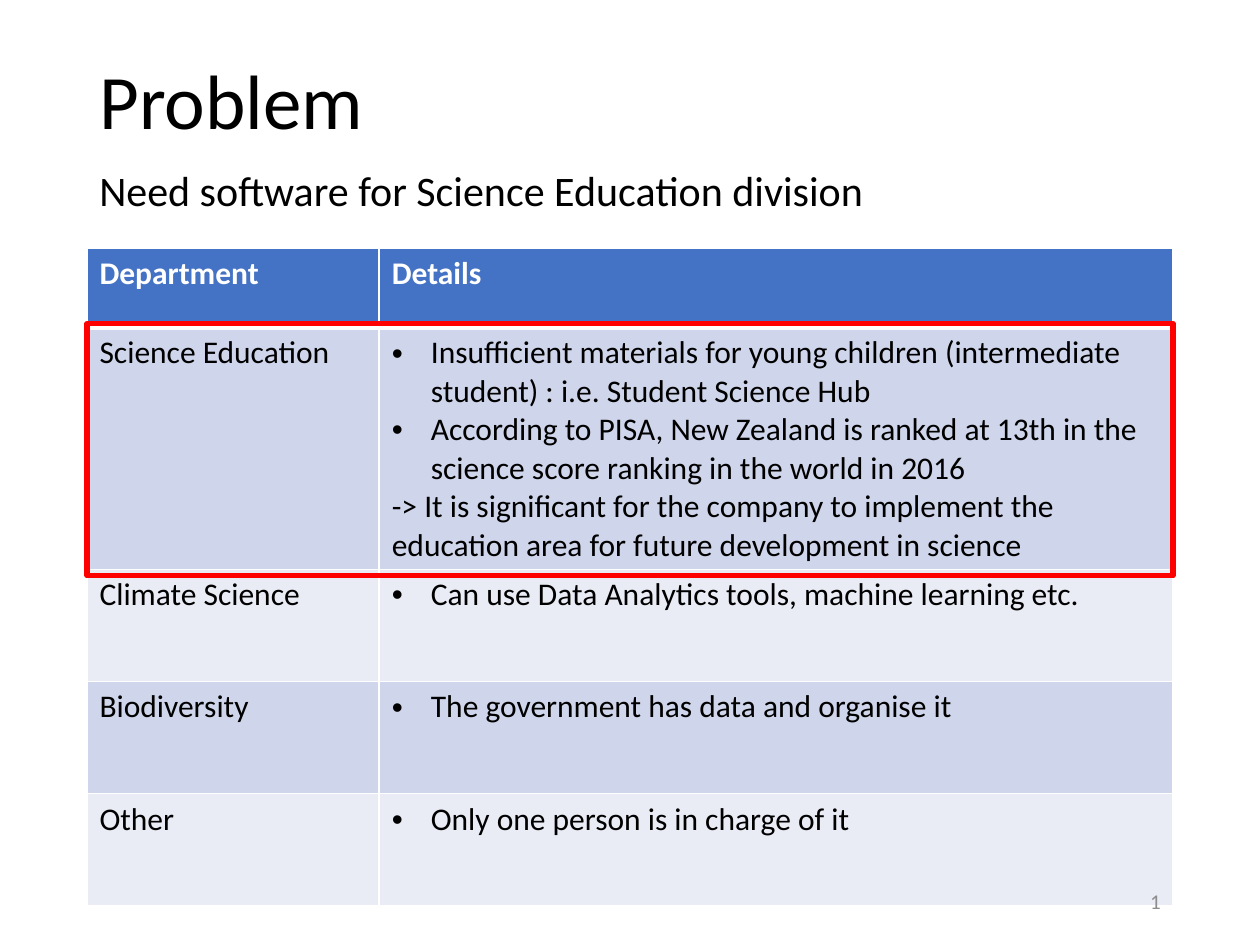
from lxml import etree
from pptx import Presentation
from pptx.dml.color import RGBColor
from pptx.enum.shapes import MSO_SHAPE as SHAPE
from pptx.enum.text import MSO_ANCHOR as ANCHOR, PP_ALIGN as ALIGN
from pptx.oxml.ns import qn
from pptx.util import Inches, Pt

COLORS = {
    "text": "000000",
    "white": "FFFFFF",
    "header": "4472C4",
    "band_dark": "CFD5EA",
    "band_light": "E9EBF5",
    "number": "8C8C8C",
    "highlight": "FF0000",
}
LEFT, WIDTH = 0.69, 8.62
COL_WIDTHS = [2.32, 6.3]
ROW_HEIGHTS = [0.63, 1.92, 0.89, 0.89, 0.89]

# Lines that start with the bullet mark become bulleted paragraphs
BULLET = "•"
ROWS = [
    ("Department", ["Details"]),
    ("Science Education", [
        "•Insufficient materials for young children (intermediate student) : "
        "i.e. Student Science Hub",
        "•According to PISA, New Zealand is ranked at 13th in the science "
        "score ranking in the world in 2016",
        "-> It is significant for the company to implement the education "
        "area for future development in science",
    ]),
    ("Climate Science", ["•Can use Data Analytics tools, machine learning etc."]),
    ("Biodiversity", ["•The government has data and organise it"]),
    ("Other", ["•Only one person is in charge of it"]),
]


def rgb(name):
    return RGBColor.from_string(COLORS[name])


class SlideBuilder:
    font = "Calibri"

    def __init__(self, slide):
        self.slide = slide

    def style(self, p, size, color, bold=False):
        for r in p.runs:
            r.font.name = self.font
            r.font.size = Pt(size)
            r.font.bold = bold
            r.font.color.rgb = rgb(color)

    def text(self, box, text, size, color="text", align=ALIGN.LEFT,
             anchor=ANCHOR.MIDDLE, spacing=1.0):
        tf = self.slide.shapes.add_textbox(*map(Inches, box)).text_frame
        tf.word_wrap = True
        tf.vertical_anchor = anchor
        p = tf.paragraphs[0]
        p.text = text
        p.alignment = align
        p.line_spacing = spacing
        self.style(p, size, color)

    def outline(self, box, color, width):
        sp = self.slide.shapes.add_shape(SHAPE.RECTANGLE, *map(Inches, box))
        sp.shadow.inherit = False
        sp.fill.background()
        sp.line.color.rgb = rgb(color)
        sp.line.width = Pt(width)

    def bullet(self, p):
        pPr = p._p.get_or_add_pPr()
        pPr.set("marL", str(Inches(0.31)))
        pPr.set("indent", str(-Inches(0.31)))
        etree.SubElement(pPr, qn("a:buFont")).set("typeface", "Arial")
        etree.SubElement(pPr, qn("a:buChar")).set("char", BULLET)

    def borders(self, cell, widths):
        tcPr = cell._tc.get_or_add_tcPr()
        for i, (side, width) in enumerate(widths.items()):
            ln = etree.Element(qn(f"a:ln{side}"), w=str(Pt(width)))
            fill = etree.SubElement(ln, qn("a:solidFill"))
            etree.SubElement(fill, qn("a:srgbClr")).set("val", COLORS["white"])
            tcPr.insert(i, ln)

    def cell(self, cell, lines, fill, color, bold, widths):
        cell.fill.solid()
        cell.fill.fore_color.rgb = rgb(fill)
        self.borders(cell, widths)
        tf = cell.text_frame
        for i, line in enumerate(lines):
            p = tf.add_paragraph() if i else tf.paragraphs[0]
            p.text = line.removeprefix(BULLET)
            if line.startswith(BULLET):
                self.bullet(p)
            self.style(p, 18, color, bold)

    def table(self, left, top, rows, col_widths, row_heights):
        box = (left, top, sum(col_widths), sum(row_heights))
        table = self.slide.shapes.add_table(
            len(rows), len(col_widths), *map(Inches, box)).table
        for col, width in zip(table.columns, col_widths):
            col.width = Inches(width)
        for row, height in zip(table.rows, row_heights):
            row.height = Inches(height)
        for i, (name, details) in enumerate(rows):
            header = i == 0
            fill = "header" if header else "band_dark" if i % 2 else "band_light"
            color = "white" if header else "text"
            # A thicker rule separates the header from the body
            widths = {"L": 1, "R": 1, "T": 3 if i == 1 else 1,
                      "B": 3 if header else 1}
            for j, lines in enumerate(([name], details)):
                self.cell(table.cell(i, j), lines, fill, color, header, widths)


def main():
    prs = Presentation()
    prs.slide_width, prs.slide_height = Inches(10), Inches(7.5)
    s = SlideBuilder(prs.slides.add_slide(prs.slide_layouts[6]))

    # Title
    s.text((LEFT, 0.4, WIDTH, 0.86), "Problem", 44, spacing=0.9)

    # Departments
    s.table(LEFT, 1.97, ROWS, COL_WIDTHS, ROW_HEIGHTS)

    # Slide number
    s.text((7.06, 6.95, 2.25, 0.4), "1", 12, "number", ALIGN.RIGHT)

    # Highlight around the science education row
    s.outline((LEFT, 2.57, WIDTH, 2), "highlight", 3)

    # Subtitle
    s.text((LEFT, 1.26, 7.08, 0.5),
           "Need software for Science Education division", 24,
           anchor=ANCHOR.TOP)

    prs.save("out.pptx")


if __name__ == "__main__":
    main()
